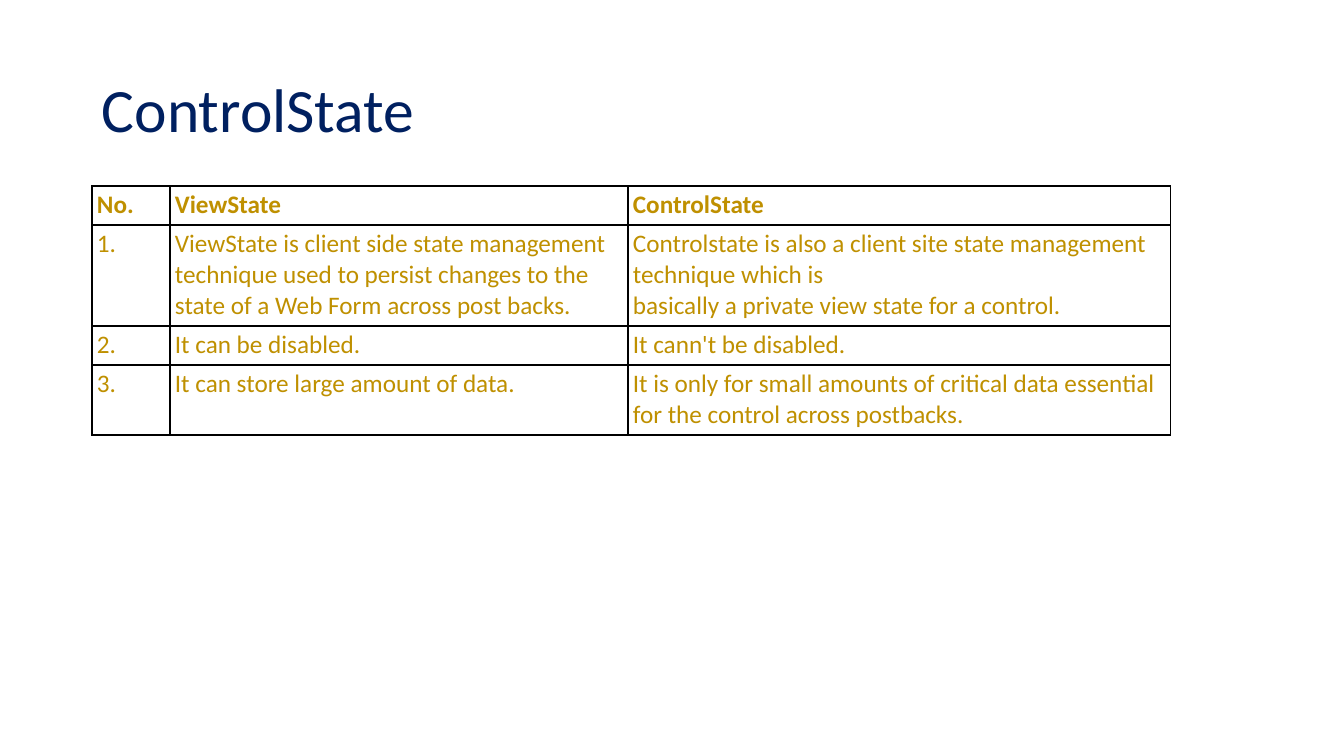
from lxml import etree
from pptx import Presentation
from pptx.dml.color import RGBColor
from pptx.enum.text import MSO_ANCHOR
from pptx.oxml.ns import qn
from pptx.util import Pt

PIXEL = 914400 / 100.8
MIDDLE = MSO_ANCHOR.MIDDLE
FONT = "Calibri"
NAVY = RGBColor(0x00, 0x20, 0x60)
GOLD = RGBColor(0xBF, 0x90, 0x00)
BLACK = RGBColor(0x00, 0x00, 0x00)

TITLE_BOX = (92, 40, 1160, 146)
COMPARISON_BOX = (92, 186, 1079, 249)
COLUMN_WIDTHS = (78, 458, 543)
ROW_LINES = (1, 3, 1, 2)
LINE_HEIGHT = 31
MARGIN_X, MARGIN_Y = 5, 4

COMPARISON = (
    ("No.", "ViewState", "ControlState"),
    ("1.",
     "ViewState is client side state management technique used\u00a0to persist "
     "changes to the state of a Web Form across post backs.",
     "Controlstate is also a\u00a0client site state management technique which is\v"
     "basically a private view state for a control."),
    ("2.", "It can be disabled.", "It cann't be disabled."),
    ("3.", "It can store large amount of data.",
     "It is only for small amounts of critical data essential for the control "
     "across postbacks."),
)


def px(length):
    return round(length * PIXEL)


def format_runs(paragraph, size, color, bold=False):
    for run in paragraph.runs:
        run.font.name = FONT
        run.font.size = Pt(size)
        run.font.bold = bold
        run.font.color.rgb = color


def add_borders(cell):
    properties = cell._tc.get_or_add_tcPr()
    for position, side in enumerate(("a:lnL", "a:lnR", "a:lnT", "a:lnB")):
        border = etree.Element(qn(side), w=str(Pt(1)))
        fill = etree.SubElement(border, qn("a:solidFill"))
        etree.SubElement(fill, qn("a:srgbClr"), val=str(BLACK))
        properties.insert(position, border)


def add_title(slide, box):
    frame = slide.shapes.add_textbox(*map(px, box)).text_frame
    frame.word_wrap = True
    frame.vertical_anchor = MIDDLE
    frame.text = "ControlState"
    heading = frame.paragraphs[0]
    heading.line_spacing = 0.9
    format_runs(heading, 44, NAVY)


def fill_cell(cell, text, bold):
    cell.margin_left = cell.margin_right = px(MARGIN_X)
    cell.margin_top = cell.margin_bottom = px(MARGIN_Y)
    cell.fill.background()
    add_borders(cell)
    cell.text_frame.text = text
    format_runs(cell.text_frame.paragraphs[0], 18, GOLD, bold)


def add_comparison(slide, box):
    table = slide.shapes.add_table(
        len(COMPARISON), len(COLUMN_WIDTHS), *map(px, box)).table
    table.horz_banding = False
    for column, width in zip(table.columns, COLUMN_WIDTHS):
        column.width = px(width)
    for row, lines in zip(table.rows, ROW_LINES):
        row.height = px(lines * LINE_HEIGHT + 2 * MARGIN_Y)
    for row_index, texts in enumerate(COMPARISON):
        for column_index, text in enumerate(texts):
            fill_cell(table.cell(row_index, column_index), text, row_index == 0)


presentation = Presentation()
presentation.slide_width = px(1344)
presentation.slide_height = px(756)
slide = presentation.slides.add_slide(presentation.slide_layouts[6])
add_title(slide, TITLE_BOX)
add_comparison(slide, COMPARISON_BOX)
presentation.save("out.pptx")
